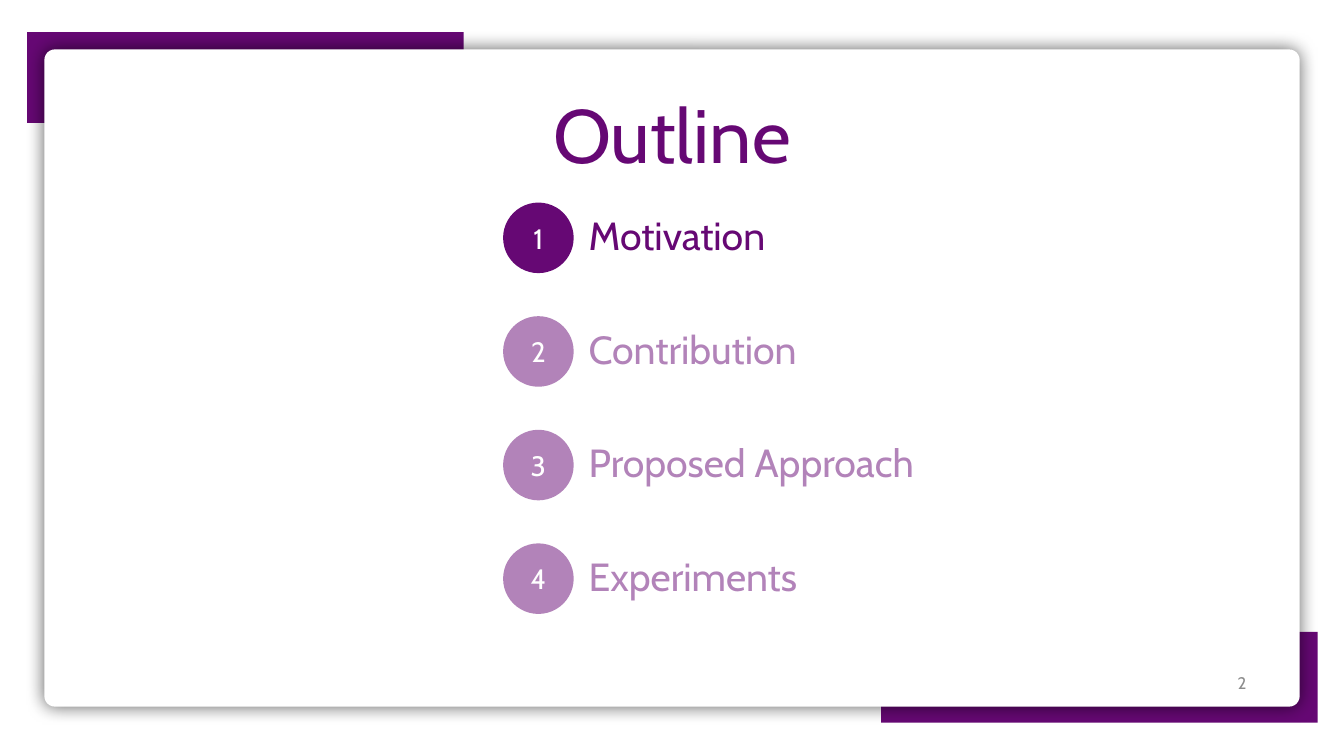
from dataclasses import dataclass

from lxml import etree
from pptx import Presentation
from pptx import util as u
from pptx.dml.color import RGBColor
from pptx.enum import shapes, text
from pptx.oxml import ns, parse_xml

PURPLE = RGBColor(0x66, 0x08, 0x74)
WHITE = RGBColor(0xFF, 0xFF, 0xFF)
GREY = RGBColor(0x8C, 0x8C, 0x8C)
FONT = "Cabin"
FADED = 50
TOPIC_TOP = 2.01
TOPIC_PITCH = 1.127
CARD_SHADOW = (
    f'<a:effectLst {ns.nsdecls("a")}><a:outerShdw blurRad="165100" dist="0" algn="ctr" '
    'rotWithShape="0"><a:srgbClr val="000000"><a:alpha val="62000"/></a:srgbClr>'
    '</a:outerShdw></a:effectLst>'
)


@dataclass(frozen=True)
class Box:
    left: float
    top: float
    width: float
    height: float

    def lengths(self) -> tuple:
        return tuple(u.Inches(v) for v in (self.left, self.top, self.width, self.height))


@dataclass(frozen=True)
class Topic:
    label: str
    label_width: float
    alpha: int = FADED


CORNERS = [Box(8.74, 6.27, 4.33, 0.9), Box(0.27, 0.32, 4.33, 0.9)]
CARD = Box(0.44, 0.49, 12.45, 6.52)
TITLE = Box(4.63, 0.93, 4.07, 0.84)
PAGE_NUMBER = Box(9.46, 6.57, 3, 0.4)
TOPICS = [
    Topic("Motivation", 5.35, 100),
    Topic("Contribution", 5.16),
    Topic("Proposed Approach", 5.62),
    Topic("Experiments", 5.04),
]


def set_attributes(target, values: dict) -> None:
    for name, value in values.items():
        setattr(target, name, value)


def paint(fill, color: RGBColor, alpha: int = 100) -> None:
    fill.solid()
    fill.fore_color.rgb = color
    if alpha < 100:
        for clr in fill._xPr.iter(ns.qn("a:srgbClr")):
            etree.SubElement(clr, ns.qn("a:alpha"), val=str(alpha * 1000))


def add_panel(parent, kind, box: Box, color: RGBColor, alpha: int = 100):
    sp = parent.add_shape(kind, *box.lengths())
    sp.shadow.inherit = False
    paint(sp.fill, color, alpha)
    sp.line.fill.background()
    return sp


def write(sp, words: str, size: int, color: RGBColor, frame: dict,
          paragraph: dict, alpha: int = 100):
    tf = sp.text_frame
    set_attributes(tf, {"word_wrap": True, **frame})
    p = tf.paragraphs[0]
    set_attributes(p, paragraph)
    r = p.add_run()
    r.text = words
    set_attributes(r.font, {"name": FONT, "size": u.Pt(size)})
    paint(r.font.fill, color, alpha)
    return r


def add_topic(s, number: int, topic: Topic) -> None:
    top = TOPIC_TOP + (number - 1) * TOPIC_PITCH
    group = s.shapes.add_group_shape().shapes
    badge = add_panel(group, shapes.MSO_SHAPE.OVAL, Box(4.99, top, 0.7, 0.7),
                      PURPLE, topic.alpha)
    write(badge, str(number), 20, WHITE,
          {"vertical_anchor": text.MSO_ANCHOR.MIDDLE},
          {"alignment": text.PP_ALIGN.CENTER})
    label = group.add_textbox(*Box(5.74, top + 0.09, topic.label_width, 0.52).lengths())
    write(label, topic.label, 28, PURPLE,
          {"auto_size": text.MSO_AUTO_SIZE.SHAPE_TO_FIT_TEXT},
          {"line_spacing": 0.9}, topic.alpha)


def add_page_number(s) -> None:
    sp = s.shapes.add_textbox(*PAGE_NUMBER.lengths())
    r = write(sp, "2", 12, GREY, {"vertical_anchor": text.MSO_ANCHOR.MIDDLE},
              {"alignment": text.PP_ALIGN.RIGHT})
    r._r.getparent().getparent()


def main() -> None:
    prs = Presentation()
    set_attributes(prs, {"slide_width": u.Inches(13.33), "slide_height": u.Inches(7.5)})
    s = prs.slides.add_slide(prs.slide_layouts[6])

    for corner in CORNERS:
        add_panel(s.shapes, shapes.MSO_SHAPE.RECTANGLE, corner, PURPLE)
    card = add_panel(s.shapes, shapes.MSO_SHAPE.ROUNDED_RECTANGLE, CARD, WHITE)
    card.adjustments[0] = 0.016
    spPr = card._element.spPr
    spPr.replace(spPr.find(ns.qn("a:effectLst")), parse_xml(CARD_SHADOW))

    add_page_number(s)
    title = s.shapes.add_textbox(*TITLE.lengths())
    write(title, "Outline", 54, PURPLE, {},
          {"alignment": text.PP_ALIGN.CENTER, "line_spacing": 0.9})
    for number, topic in enumerate(TOPICS, 1):
        add_topic(s, number, topic)

    prs.save("out.pptx")


if __name__ == "__main__":
    main()
